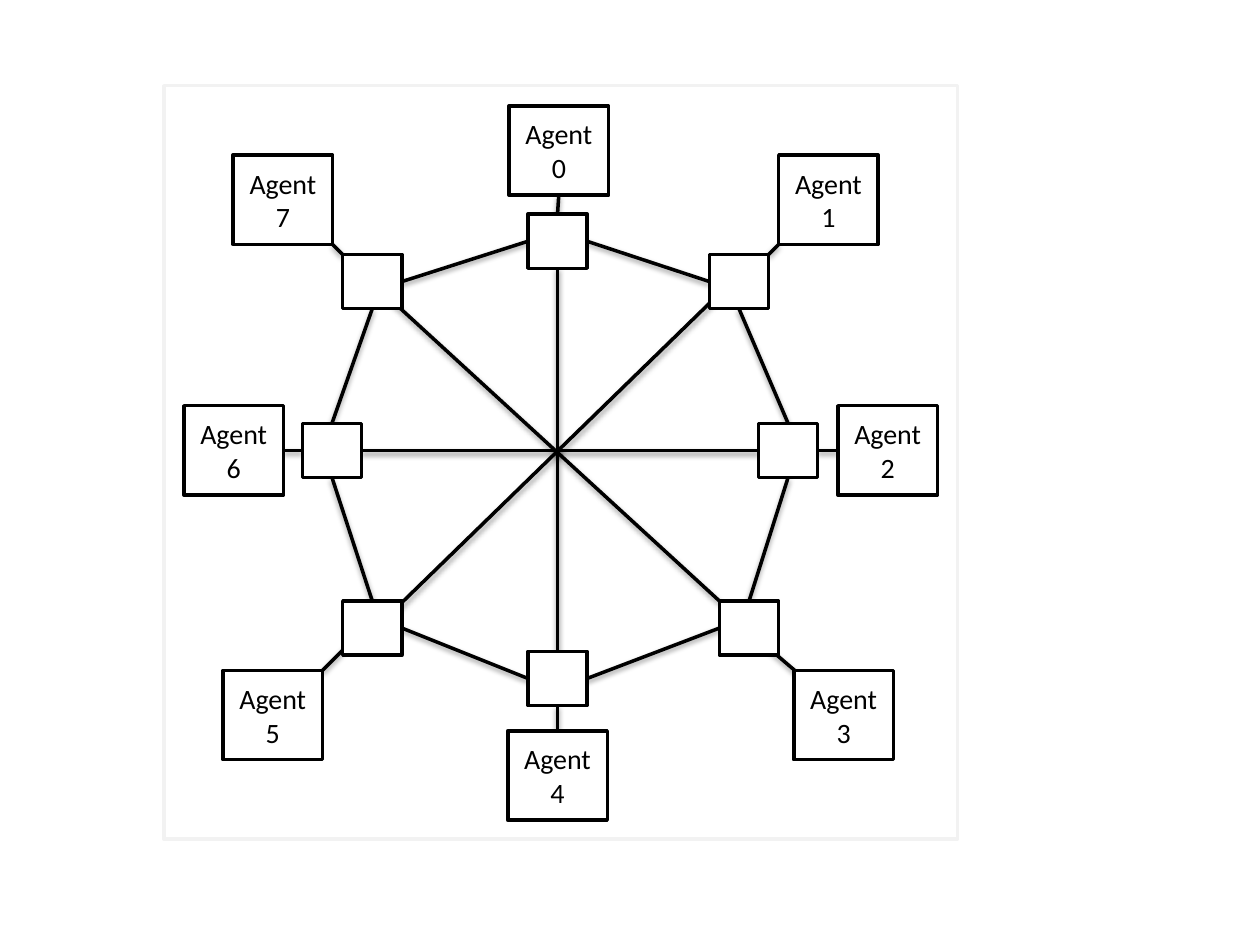
from lxml import etree
from pptx import Presentation
from pptx import util as u
from pptx.dml.color import RGBColor
from pptx.enum import shapes, text
from pptx.oxml.ns import qn

COLS, ROWS = 1000, 750
FRAME = (130, 68, 630, 598)
NODE_SIZE = (47, 43)
AGENT_SIZE = (79, 71)
NODES = [(419, 170), (563, 202), (602, 336), (571, 477),
         (419, 517), (272, 477), (240, 336), (272, 202)]
AGENTS = [(404, 84), (618, 123), (665, 322), (630, 532),
          (403, 580), (177, 532), (146, 322), (185, 123)]

TOP, LEFT, BOTTOM, RIGHT = range(4)
RING_SIDES = [(RIGHT, LEFT), (BOTTOM, TOP), (BOTTOM, TOP), (LEFT, RIGHT),
              (LEFT, RIGHT), (TOP, BOTTOM), (TOP, BOTTOM), (RIGHT, LEFT)]
STRAIGHT_SPOKES = [(0, BOTTOM, 4, TOP), (6, RIGHT, 2, LEFT)]
AGENT_SIDES = {0: (TOP, BOTTOM), 2: (RIGHT, LEFT), 4: (BOTTOM, TOP), 6: (LEFT, RIGHT)}
DIAGONAL_SPOKES = [(7, (0.17, 0.19), 3, (0, 0)), (5, (0.5, 0.56), 1, (0.5, 0.37))]
AGENT_CORNERS = {1: ((1, 0), (0, 1)), 3: ((0.5, 0.56), (0.25, 0.23)),
                 5: ((0.32, 0.56), (1, 0)), 7: ((0, 0), (1, 1))}

prs = Presentation()
prs.slide_width, prs.slide_height = u.Inches(10), u.Inches(7.5)
s = prs.slides.add_slide(prs.slide_layouts[6])
cell_w, cell_h = prs.slide_width / COLS, prs.slide_height / ROWS


def color(value):
    return RGBColor.from_string(value)


def add_box(place, line="000000"):
    x, y, w, h = place
    sp = s.shapes.add_shape(shapes.MSO_SHAPE.RECTANGLE, round(x * cell_w), round(y * cell_h),
                            round(w * cell_w), round(h * cell_h))
    sp.shadow.inherit = False
    sp.fill.solid()
    sp.fill.fore_color.rgb = color("FFFFFF")
    sp.line.color.rgb = color(line)
    sp.line.width = u.Pt(2)
    return sp


def add_agent(number, place):
    sp = add_box(place + AGENT_SIZE)
    tf = sp.text_frame
    tf.word_wrap = True
    tf.vertical_anchor = text.MSO_ANCHOR.MIDDLE
    p = tf.paragraphs[0]
    p.alignment = text.PP_ALIGN.CENTER
    r = p.add_run()
    r.text = f"Agent {number}"
    r.font.name, r.font.size = "Calibri", u.Pt(16)
    r.font.color.rgb = color("000000")
    return sp


def add_shadow(line):
    effects = etree.SubElement(line.element.spPr, qn("a:effectLst"))
    shadow = etree.SubElement(effects, qn("a:outerShdw"), blurRad=str(u.Pt(3.1)),
                              dist=str(u.Pt(1.6)), dir="5400000", rotWithShape="0")
    black = etree.SubElement(shadow, qn("a:srgbClr"), val="000000")
    etree.SubElement(black, qn("a:alpha"), val="38000")


def add_line(start=(0, 0), end=(0, 0)):
    line = s.shapes.add_connector(shapes.MSO_CONNECTOR.STRAIGHT, *start, *end)
    line.line.color.rgb = color("000000")
    line.line.width = u.Pt(2)
    add_shadow(line)
    frame.element.addnext(line.element)
    return line


def join(a, a_side, b, b_side):
    line = add_line()
    line.begin_connect(a, a_side)
    line.end_connect(b, b_side)


def point(sp, share):
    return round(sp.left + share[0] * sp.width), round(sp.top + share[1] * sp.height)


frame = add_box(FRAME, "F2F2F2")
nodes = [add_box(place + NODE_SIZE) for place in NODES]
agents = [add_agent(i, place) for i, place in enumerate(AGENTS)]

for i, (side, next_side) in enumerate(RING_SIDES):
    join(nodes[i], side, nodes[(i + 1) % len(nodes)], next_side)
for a, a_side, b, b_side in STRAIGHT_SPOKES:
    join(nodes[a], a_side, nodes[b], b_side)
for i, (node_side, agent_side) in AGENT_SIDES.items():
    join(nodes[i], node_side, agents[i], agent_side)
for a, a_share, b, b_share in DIAGONAL_SPOKES:
    add_line(point(nodes[a], a_share), point(nodes[b], b_share))
for i, (node_share, agent_share) in AGENT_CORNERS.items():
    add_line(point(nodes[i], node_share), point(agents[i], agent_share))

prs.save("out.pptx")
